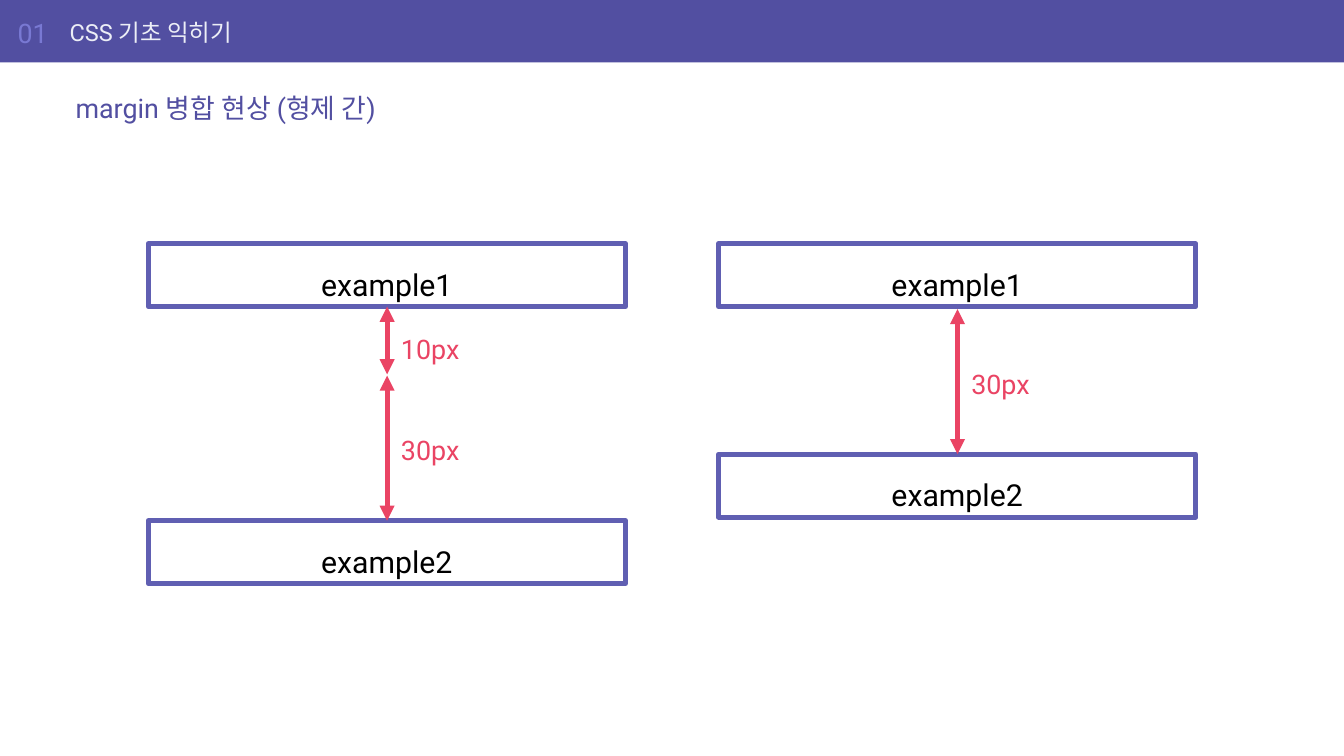
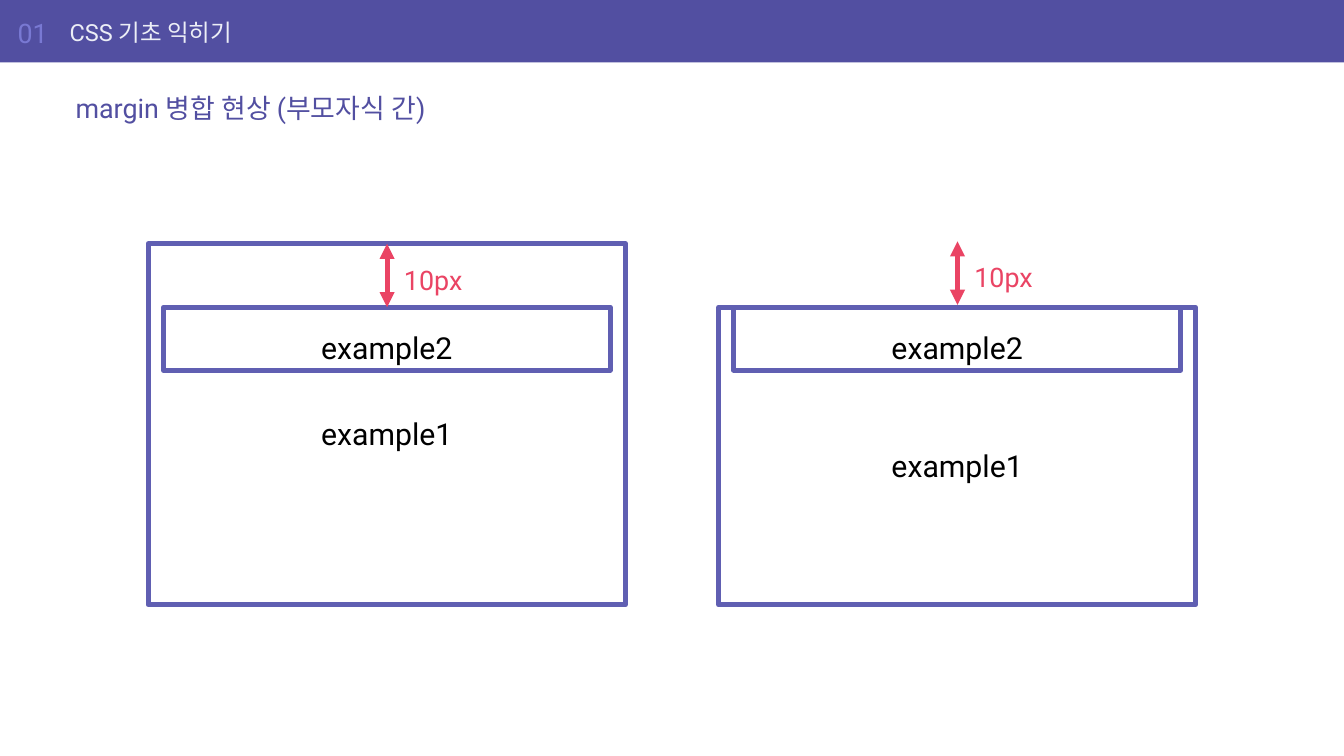
from dataclasses import dataclass

from lxml.etree import SubElement
from pptx import Presentation
from pptx.dml.color import RGBColor
from pptx.enum.shapes import MSO_CONNECTOR as Link, MSO_SHAPE as Preset
from pptx.enum.text import MSO_ANCHOR as Anchor, PP_ALIGN as Align
from pptx.oxml.ns import qn
from pptx.slide import Slide
from pptx.text.text import TextFrame
from pptx.util import Emu, Pt

PX = 9144  # 100 px to the inch
WIDE, HIGH = 2222, 1250

FONT = "Roboto"
INDIGO, VIOLET, PALE = "524FA1", "7979D3", "ECEEF6"
BORDER, ROSE, BLACK = "605FB2", "EA4464", "000000"
STROKE = 6

COLS = (245, 1188)
COL_W = 789
ROW_H = 104
INSET = 25
LABEL_W = 170


@dataclass(frozen=True)
class Box:
    col: int
    top: int
    text: str
    high: int = ROW_H
    inset: int = 0


@dataclass(frozen=True)
class Gap:
    """A double arrow down the middle of a column, with its label."""
    col: int
    top: int
    end: int
    text: str
    label: int
    shift: int = 13


@dataclass(frozen=True)
class Page:
    title: str
    boxes: tuple[Box, ...]
    gaps: tuple[Gap, ...]


PAGES = (
    Page(
        "margin 병합 현상 (형제 간)",
        (
            Box(0, 403, "example1"),
            Box(0, 861, "example2"),
            Box(1, 403, "example1"),
            Box(1, 751, "example2"),
        ),
        (
            Gap(0, 507, 619, "10px", 519),
            Gap(0, 621, 861, "30px", 686),
            Gap(1, 511, 751, "30px", 576),
        ),
    ),
    Page(
        "margin 병합 현상 (부모자식 간)",
        (
            Box(0, 403, "example1", high=597),
            Box(0, 508, "example2", inset=INSET),
            Box(1, 508, "example1", high=492),
            Box(1, 508, "example2", inset=INSET),
        ),
        (
            Gap(0, 403, 508, "10px", 404, shift=18),
            Gap(1, 399, 504, "10px", 400, shift=18),
        ),
    ),
)


def px(*sizes: int) -> list[Emu]:
    return [Emu(size * PX) for size in sizes]


def rgb(code: str) -> RGBColor:
    return RGBColor.from_string(code)


def write(frame: TextFrame, text: str, size: int, color: str,
          anchor: Anchor = Anchor.MIDDLE, align: Align = Align.LEFT,
          spacing: float = 1.0) -> None:
    frame.word_wrap = True
    frame.vertical_anchor = anchor
    para = frame.paragraphs[0]
    para.text = text
    para.alignment = align
    para.line_spacing = spacing
    font = para.font
    font.name, font.size, font.color.rgb = FONT, Pt(size), rgb(color)


def add_text(slide: Slide, left: int, top: int, wide: int, high: int) -> TextFrame:
    return slide.shapes.add_textbox(*px(left, top, wide, high)).text_frame


def add_head(slide: Slide, title: str) -> None:
    band = slide.shapes.add_shape(Preset.RECTANGLE, *px(-1, -2, WIDE + 2, 105))
    band.shadow.inherit = False
    band.fill.solid()
    band.fill.fore_color.rgb = rgb(INDIGO)
    band.line.fill.background()

    for left, wide, text, size, color in (
        (29, 87, "01", 32, VIOLET),
        (115, 1878, "CSS 기초 익히기", 28, PALE),
    ):
        frame = add_text(slide, left, 15, wide, 77)
        frame.margin_left = 0
        write(frame, text, size, color)
    write(add_text(slide, 115, 140, 1992, 77), title, 32, INDIGO)


def add_box(slide: Slide, box: Box) -> None:
    rect = slide.shapes.add_shape(Preset.RECTANGLE, *px(
        COLS[box.col] + box.inset, box.top, COL_W - 2 * box.inset, box.high))
    rect.shadow.inherit = False
    rect.fill.background()
    rect.line.color.rgb = rgb(BORDER)
    rect.line.width = Pt(STROKE)
    frame = rect.text_frame
    frame.margin_left = frame.margin_right = Emu(7 * PX)
    frame.margin_top = frame.margin_bottom = Emu(7 * PX)
    write(frame, box.text, 36, BLACK, align=Align.CENTER, spacing=1.5)


def add_gap(slide: Slide, gap: Gap) -> None:
    mid = COLS[gap.col] + (COL_W + 1) // 2
    arrow = slide.shapes.add_connector(
        Link.STRAIGHT, *px(mid, gap.top, mid, gap.end))
    arrow.line.color.rgb = rgb(ROSE)
    arrow.line.width = Pt(STROKE)
    line = arrow.line._get_or_add_ln()
    for end in ("a:headEnd", "a:tailEnd"):
        SubElement(line, qn(end), type="triangle")
    SubElement(arrow._element.spPr, qn("a:effectLst"))

    frame = add_text(slide, mid + gap.shift, gap.label, LABEL_W, ROW_H)
    write(frame, gap.text, 32, ROSE, anchor=Anchor.TOP, spacing=1.5)


def main() -> None:
    deck = Presentation()
    deck.slide_width, deck.slide_height = px(WIDE, HIGH)
    for page in PAGES:
        slide = deck.slides.add_slide(deck.slide_layouts[6])
        add_head(slide, page.title)
        for box in page.boxes:
            add_box(slide, box)
        for gap in page.gaps:
            add_gap(slide, gap)
    deck.save("out.pptx")


if __name__ == "__main__":
    main()
